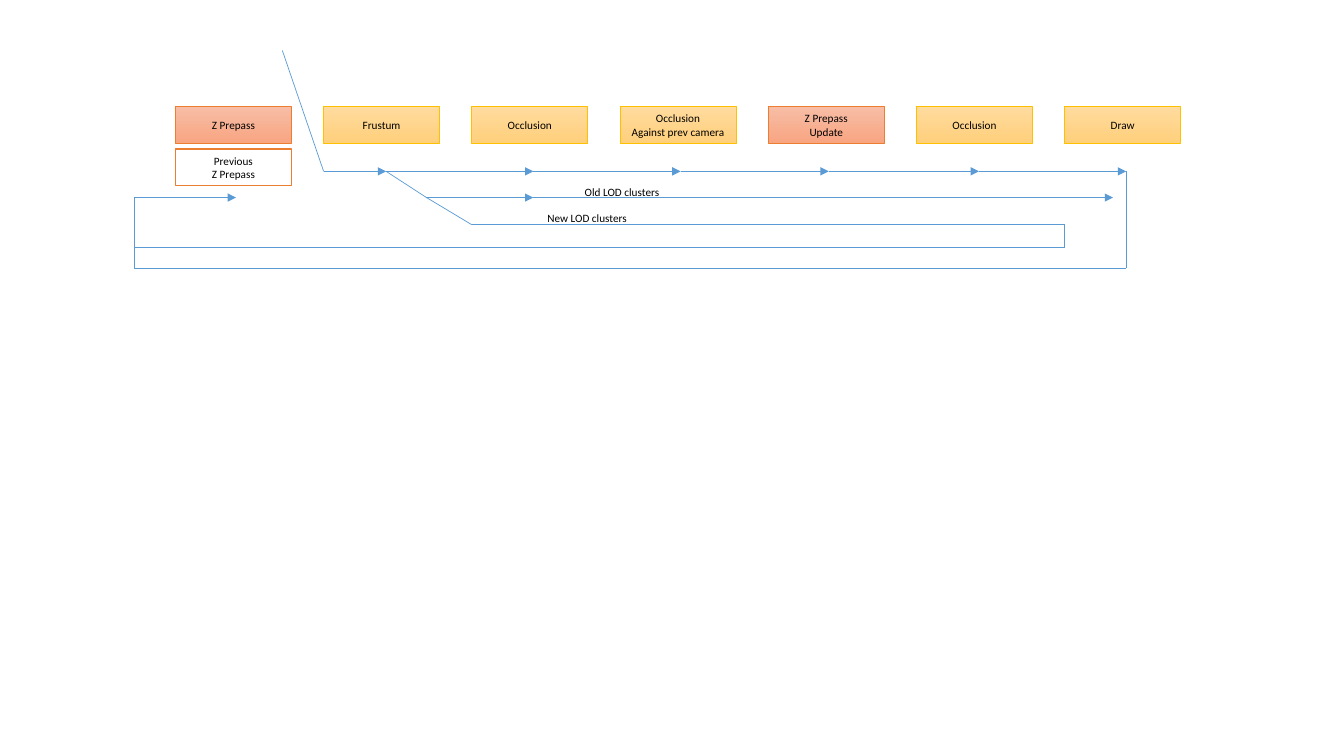
import pptx
import pptx.util
import pptx.dml.color
import pptx.enum.shapes
import pptx.enum.text
import pptx.oxml.ns
import lxml.etree

Inches = pptx.util.Inches
Pt = pptx.util.Pt
qn = pptx.oxml.ns.qn
rgb = pptx.dml.color.RGBColor.from_string
PP_ALIGN = pptx.enum.text.PP_ALIGN

COLORS = {
    "text": "000000",
    "flow": "5B9BD5",
    "white": "FFFFFF",
    "prepass_line": "ED7D31",
    "prepass_top": "F7BDA5",
    "prepass_bottom": "F8A582",
    "cull_line": "FFC000",
    "cull_top": "FFDB9E",
    "cull_bottom": "FFD07C",
}

deck = pptx.Presentation()
deck.slide_width = Inches(13.33)
deck.slide_height = Inches(7.5)
slide = deck.slides.add_slide(deck.slide_layouts[6])


def write_lines(frame, lines, align):
    for index, line in enumerate(lines):
        paragraph = frame.paragraphs[0] if index == 0 else frame.add_paragraph()
        paragraph.alignment = align
        run = paragraph.add_run()
        run.text = line
        run.font.size = Pt(8)
        run.font.name = "Calibri"
        run.font.color.rgb = rgb(COLORS["text"])


def add_stage(left, top, lines, kind, line_width):
    stage = slide.shapes.add_shape(
        pptx.enum.shapes.MSO_SHAPE.RECTANGLE,
        Inches(left), Inches(top), Inches(1.15), Inches(0.36))
    stage.shadow.inherit = False
    stage.line.color.rgb = rgb(COLORS[kind + "_line"])
    stage.line.width = Pt(line_width)
    stage.text_frame.word_wrap = True
    stage.text_frame.vertical_anchor = pptx.enum.text.MSO_ANCHOR.MIDDLE
    write_lines(stage.text_frame, lines, PP_ALIGN.CENTER)
    return stage


stages = [
    (["Z Prepass"], "prepass"),
    (["Frustum"], "cull"),
    (["Occlusion"], "cull"),
    (["Occlusion", "Against prev camera"], "cull"),
    (["Z Prepass", "Update"], "prepass"),
    (["Occlusion"], "cull"),
    (["Draw"], "cull"),
]
for column, (lines, kind) in enumerate(stages):
    stage = add_stage(1.74 + 1.47 * column, 1.06, lines, kind, 0.5)
    stage.fill.gradient()
    stage.fill.gradient_angle = 270
    for stop, end in zip(stage.fill.gradient_stops, ("_top", "_bottom")):
        stop.color.rgb = rgb(COLORS[kind + end])

main_y, old_lod_y, new_lod_y = 1.7, 1.96, 2.23
new_return_y, main_return_y = 2.45, 2.66
return_x, frustum_x, occlusion_x, draw_x = 1.33, 3.83, 5.29, 11.17
split_x = 4.23

flows = [
    ([(2.8, 0.5), (3.21, main_y)], False),
    ([(x, main_y) for x in (3.21, frustum_x, occlusion_x, 6.75, 8.22, 9.71, draw_x)], True),
    ([(draw_x, main_y), (draw_x, main_return_y), (return_x, main_return_y),
      (return_x, old_lod_y)], False),
    ([(return_x, old_lod_y), (2.34, old_lod_y)], True),
    ([(frustum_x, main_y), (split_x, old_lod_y)], False),
    ([(x, old_lod_y) for x in (split_x, occlusion_x, 11.04)], True),
    ([(split_x, old_lod_y), (4.68, new_lod_y), (10.56, new_lod_y),
      (10.56, new_return_y), (return_x, new_return_y)], False),
]
for points, has_arrows in flows:
    for (x1, y1), (x2, y2) in zip(points, points[1:]):
        flow = slide.shapes.add_connector(
            pptx.enum.shapes.MSO_CONNECTOR.STRAIGHT,
            Inches(x1), Inches(y1), Inches(x2), Inches(y2))
        flow.line.color.rgb = rgb(COLORS["flow"])
        flow.line.width = Pt(0.5)
        if has_arrows:
            lxml.etree.SubElement(flow.line._get_or_add_ln(), qn("a:tailEnd"), type="triangle")
        lxml.etree.SubElement(flow._element.spPr, qn("a:effectLst"))

for caption, left, top, width in [
    ("New LOD clusters", 5.33, 2.05, 1),
    ("Old LOD clusters", 5.7, 1.79, 0.95),
]:
    label = slide.shapes.add_textbox(Inches(left), Inches(top), Inches(width), Inches(0.24))
    label.text_frame.word_wrap = False
    label.text_frame.auto_size = pptx.enum.text.MSO_AUTO_SIZE.SHAPE_TO_FIT_TEXT
    write_lines(label.text_frame, [caption], PP_ALIGN.LEFT)

previous = add_stage(1.74, 1.48, ["Previous", "Z Prepass"], "prepass", 1)
previous.fill.solid()
previous.fill.fore_color.rgb = rgb(COLORS["white"])

deck.save("out.pptx")
